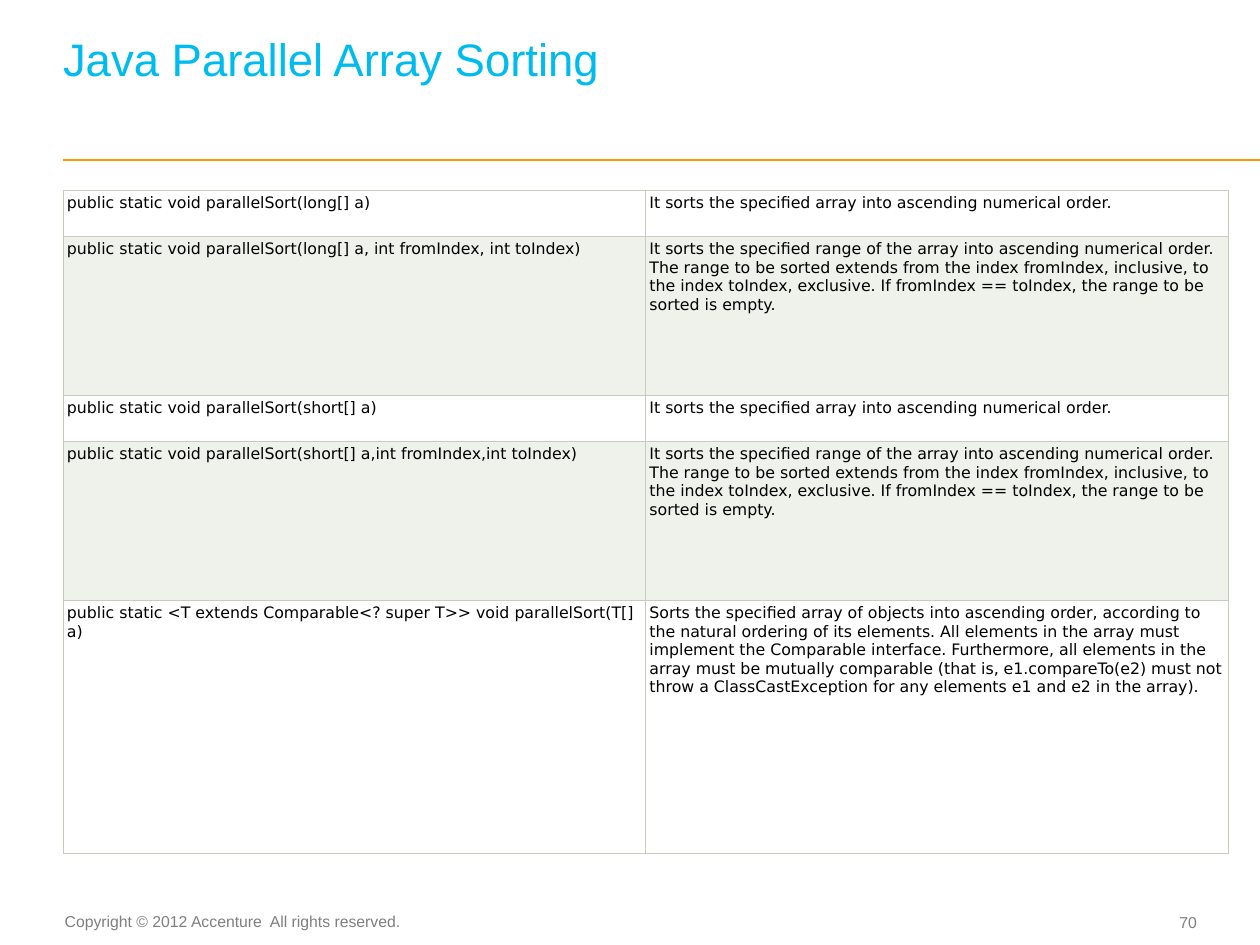
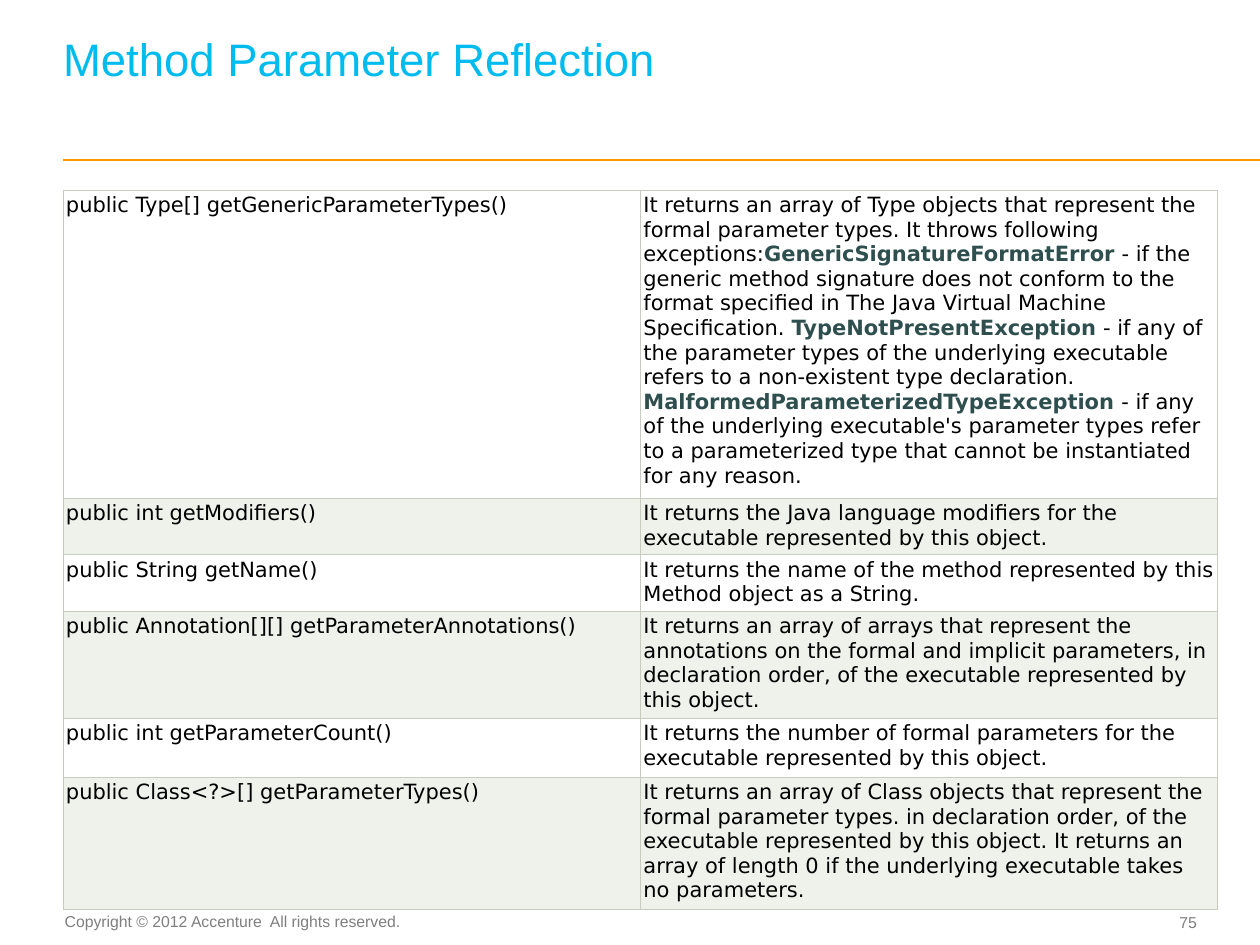
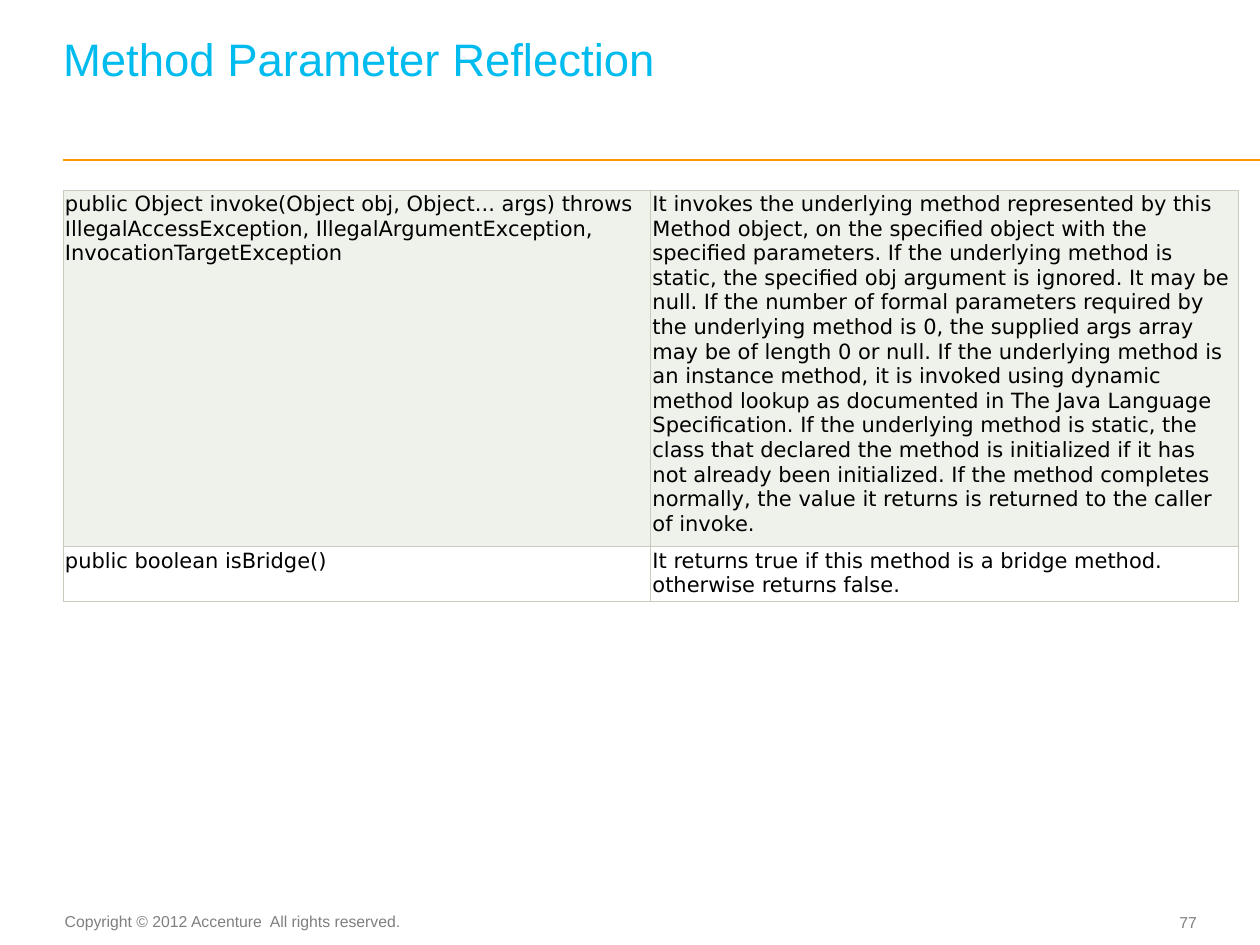
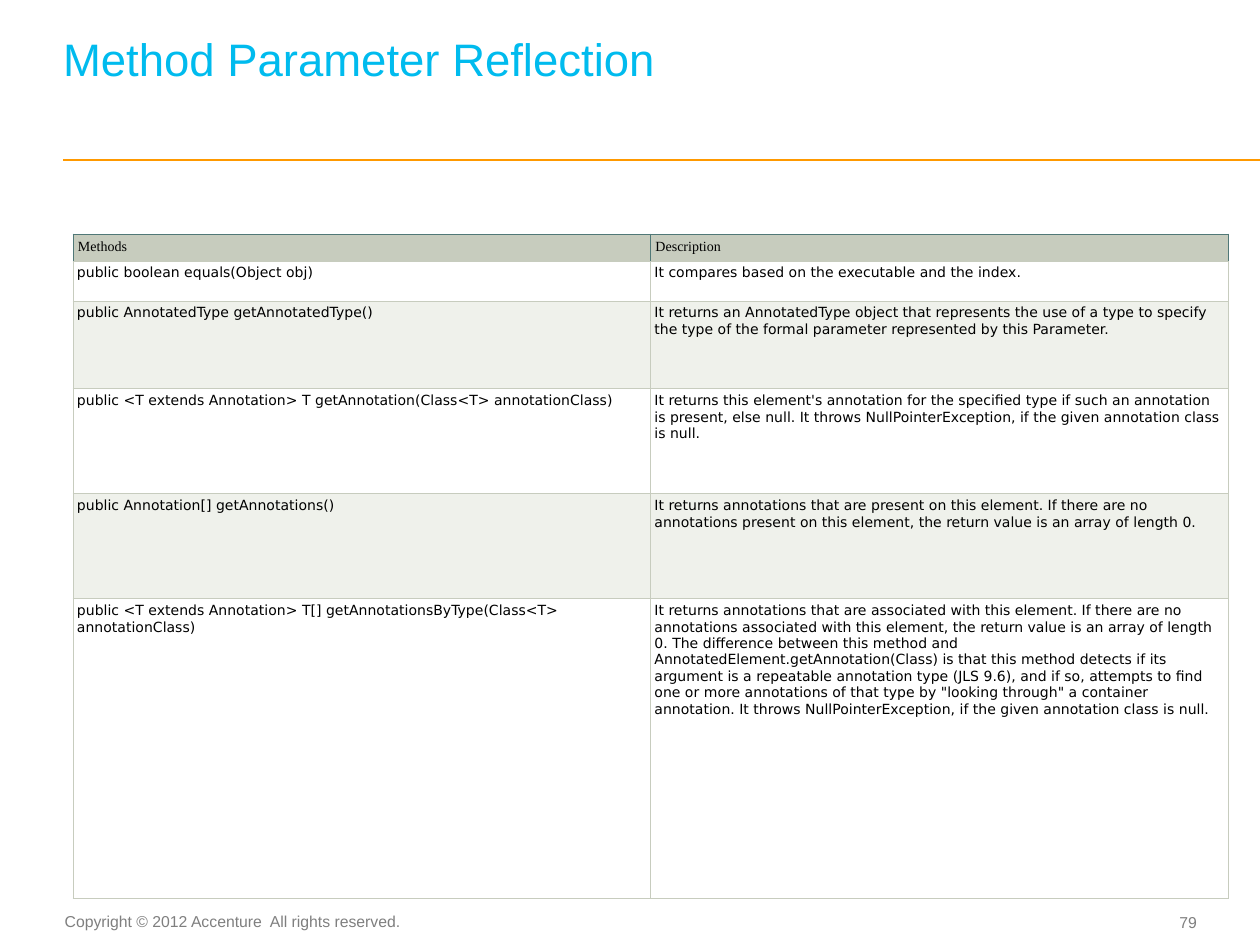
import pptx
import pptx.dml.color
import pptx.enum.shapes
import pptx.enum.text
import pptx.util
from pptx.oxml.ns import qn
from lxml import etree

SCALE = 914400 / 126  # EMU in one px
ALIGN = pptx.enum.text.PP_ALIGN
ANCHOR = pptx.enum.text.MSO_ANCHOR
FIT = pptx.enum.text.MSO_AUTO_SIZE

SERIF, SANS, CODE = "Times New Roman", "Arial", "DejaVu Sans"
CYAN, ORANGE, GRAY, SLATE = "00BBEE", "FF9900", "7F7F7F", "2F4F4F"
BLACK, WHITE, PALE, SAGE, TEAL = "000000", "FFFFFF", "EFF1EB", "C7CCBE", "507877"
NOTICE = "Copyright © 2012 Accenture  All rights reserved."


def px(n):
    return pptx.util.Emu(round(n * SCALE))


def color(code):
    return pptx.dml.color.RGBColor.from_string(code)


def style(font, size, name, code, bold=False):
    font.size, font.name, font.bold = pptx.util.Pt(size), name, bold
    font.color.rgb = color(code)


def inset(item, left, top, right, bottom):
    item.margin_left, item.margin_top = px(left), px(top)
    item.margin_right, item.margin_bottom = px(right), px(bottom)


class Deck:
    def __init__(self):
        self.file = pptx.Presentation()
        self.file.slide_width, self.file.slide_height = px(1260), px(945)
        self.slide = None

    def page(self, title, number):
        """Start a slide with its title, rule and footer."""
        self.slide = self.file.slides.add_slide(self.file.slide_layouts[5])
        self.rule(63, 160, 1260)
        self.label(NOTICE, (62, 906, 354, 32), (0, 6, 13, 6), ALIGN.CENTER, ANCHOR.TOP)
        self.label(str(number), (1123, 905, 74, 34), (0, 0, 0, 0), ALIGN.RIGHT, ANCHOR.MIDDLE)
        self.title(title)

    def title(self, text):
        box = self.slide.shapes.title
        box.left, box.top, box.width, box.height = map(px, (63, 24, 1130, 108))
        frame = box.text_frame
        frame.auto_size, frame.vertical_anchor = FIT.NONE, ANCHOR.BOTTOM
        inset(frame, 0, 0, 0, 46)
        para = frame.paragraphs[0]
        para.text, para.alignment = text, ALIGN.LEFT
        para.line_spacing = pptx.util.Pt(26)
        style(para.font, 26, SANS, CYAN)

    def rule(self, left, top, right):
        kind = pptx.enum.shapes.MSO_CONNECTOR.STRAIGHT
        line = self.slide.shapes.add_connector(kind, px(left), px(top), px(right), px(top))
        line.line.color.rgb, line.line.width = color(ORANGE), pptx.util.Pt(1)
        etree.SubElement(line._element.spPr, qn("a:effectLst"))

    def label(self, text, place, pad, align, anchor):
        frame = self.slide.shapes.add_textbox(*map(px, place)).text_frame
        frame.word_wrap, frame.vertical_anchor = True, anchor
        inset(frame, *pad)
        para = frame.paragraphs[0]
        para.text, para.alignment = text, align
        style(para.font, 9, SANS, GRAY)

    def table(self, place, heights, rows, size, pad, fills=(WHITE, PALE), head=None):
        """Two equal columns, with row fills in turn below an optional head."""
        left, top, width = place
        count = len(heights)
        grid = self.slide.shapes.add_table(
            count, 2, px(left), px(top), px(width), px(sum(heights))).table
        grid.first_row, grid.horz_banding = False, False
        for col in grid.columns:
            col.width = px(width / 2)
        for row, height in zip(grid.rows, heights):
            row.height = px(height)
        lines = list(grid.rows)
        if head:
            for cell, text in zip(lines.pop(0).cells, head):
                self.cell(cell, text, SAGE, size, SERIF, pad + 1, TEAL)
        for i, (row, texts) in enumerate(zip(lines, rows)):
            for cell, text in zip(row.cells, texts):
                self.cell(cell, text, fills[i % 2], size, CODE, pad, SAGE)

    def cell(self, cell, text, fill, size, name, pad, edge):
        """Fill a cell; text between ** marks is bold."""
        cell.fill.solid()
        cell.fill.fore_color.rgb = color(fill)
        inset(cell, pad, pad, pad, pad)
        para = cell.text_frame.paragraphs[0]
        style(para.font, size, name, BLACK)
        for i, part in enumerate(text.split("**")):
            run = para.add_run()
            run.text = part
            if i % 2:
                style(run.font, size, name, SLATE, True)
        # Borders come before the fill in the cell properties
        props = cell._tc.get_or_add_tcPr()
        for i, side in enumerate("LRTB"):
            line = etree.Element(qn("a:ln" + side), w="7620")
            paint = etree.SubElement(line, qn("a:solidFill"))
            etree.SubElement(paint, qn("a:srgbClr"), val=SAGE if side == "B" else edge)
            props.insert(i, line)


WHOLE = "It sorts the specified array into ascending numerical order."
RANGE = ("It sorts the specified range of the array into ascending numerical order. "
         "The range to be sorted extends from the index fromIndex, inclusive, to the index "
         "toIndex, exclusive. If fromIndex == toIndex, the range to be sorted is empty.")

SORTS = [
    ("public static void parallelSort(long[] a)", WHOLE),
    ("public static void parallelSort(long[] a, int fromIndex, int toIndex)", RANGE),
    ("public static void parallelSort(short[] a)", WHOLE),
    ("public static void parallelSort(short[] a,int fromIndex,int toIndex)", RANGE),
    ("public static <T extends Comparable<? super T>> void parallelSort(T[] a)",
     "Sorts the specified array of objects into ascending order, according to the natural "
     "ordering of its elements. All elements in the array must implement the Comparable "
     "interface. Furthermore, all elements in the array must be mutually comparable (that is, "
     "e1.compareTo(e2) must not throw a ClassCastException for any elements e1 and e2 in the "
     "array)."),
]

GETTERS = [
    ("public Type[] getGenericParameterTypes()",
     "It returns an array of Type objects that represent the formal parameter types. It throws "
     "following exceptions:**GenericSignatureFormatError** - if the generic method signature "
     "does not conform to the format specified in The Java Virtual Machine Specification. "
     "**TypeNotPresentException** - if any of the parameter types of the underlying executable "
     "refers to a non-existent type declaration. **MalformedParameterizedTypeException** - if "
     "any of the underlying executable's parameter types refer to a parameterized type that "
     "cannot be instantiated for any reason."),
    ("public int getModifiers()",
     "It returns the Java language modifiers for the executable represented by this object."),
    ("public String getName()",
     "It returns the name of the method represented by this Method object as a String."),
    ("public Annotation[][] getParameterAnnotations()",
     "It returns an array of arrays that represent the annotations on the formal and implicit "
     "parameters, in declaration order, of the executable represented by this object."),
    ("public int getParameterCount()",
     "It returns the number of formal parameters for the executable represented by this object."),
    ("public Class<?>[] getParameterTypes()",
     "It returns an array of Class objects that represent the formal parameter types. in "
     "declaration order, of the executable represented by this object. It returns an array of "
     "length 0 if the underlying executable takes no parameters."),
]

CALLS = [
    ("public Object invoke(Object obj, Object... args) throws IllegalAccessException, "
     "IllegalArgumentException, InvocationTargetException",
     "It invokes the underlying method represented by this Method object, on the specified "
     "object with the specified parameters. If the underlying method is static, the specified "
     "obj argument is ignored. It may be null. If the number of formal parameters required by "
     "the underlying method is 0, the supplied args array may be of length 0 or null. If the "
     "underlying method is an instance method, it is invoked using dynamic method lookup as "
     "documented in The Java Language Specification. If the underlying method is static, the "
     "class that declared the method is initialized if it has not already been initialized. If "
     "the method completes normally, the value it returns is returned to the caller of invoke."),
    ("public boolean isBridge()",
     "It returns true if this method is a bridge method. otherwise returns false."),
]

NOTES = [
    ("public boolean equals(Object obj)",
     "It compares based on the executable and the index."),
    ("public AnnotatedType getAnnotatedType()",
     "It returns an AnnotatedType object that represents the use of a type to specify the type "
     "of the formal parameter represented by this Parameter."),
    ("public <T extends Annotation> T getAnnotation(Class<T> annotationClass)",
     "It returns this element's annotation for the specified type if such an annotation is "
     "present, else null. It throws NullPointerException, if the given annotation class is null."),
    ("public Annotation[] getAnnotations()",
     "It returns annotations that are present on this element. If there are no annotations "
     "present on this element, the return value is an array of length 0."),
    ("public <T extends Annotation> T[] getAnnotationsByType(Class<T> annotationClass)",
     "It returns annotations that are associated with this element. If there are no annotations "
     "associated with this element, the return value is an array of length 0. The difference "
     "between this method and AnnotatedElement.getAnnotation(Class) is that this method detects "
     "if its argument is a repeatable annotation type (JLS 9.6), and if so, attempts to find one "
     "or more annotations of that type by \"looking through\" a container annotation. It throws "
     "NullPointerException, if the given annotation class is null."),
]


def main():
    deck = Deck()
    topic = "Method Parameter Reflection"

    # Parallel sorting
    deck.page("Java Parallel Array Sorting", 70)
    deck.table((63, 190, 1165), (46, 159, 46, 159, 254), SORTS, 9, 4)

    # Getters of a method
    deck.page(topic, 75)
    deck.table((63, 190, 1155), (300, 47, 47, 86, 59, 126), GETTERS, 12, 3)

    # Calling a method
    deck.page(topic, 77)
    deck.table((63, 190, 1175), (286, 44), CALLS, 12, 2, fills=(PALE, WHITE))

    # Parameter annotations
    deck.page(topic, 79)
    deck.table((73, 234, 1155), (27, 40, 88, 105, 105, 300), NOTES, 8, 4,
               head=("Methods", "Description"))

    deck.file.save("out.pptx")


if __name__ == "__main__":
    main()
